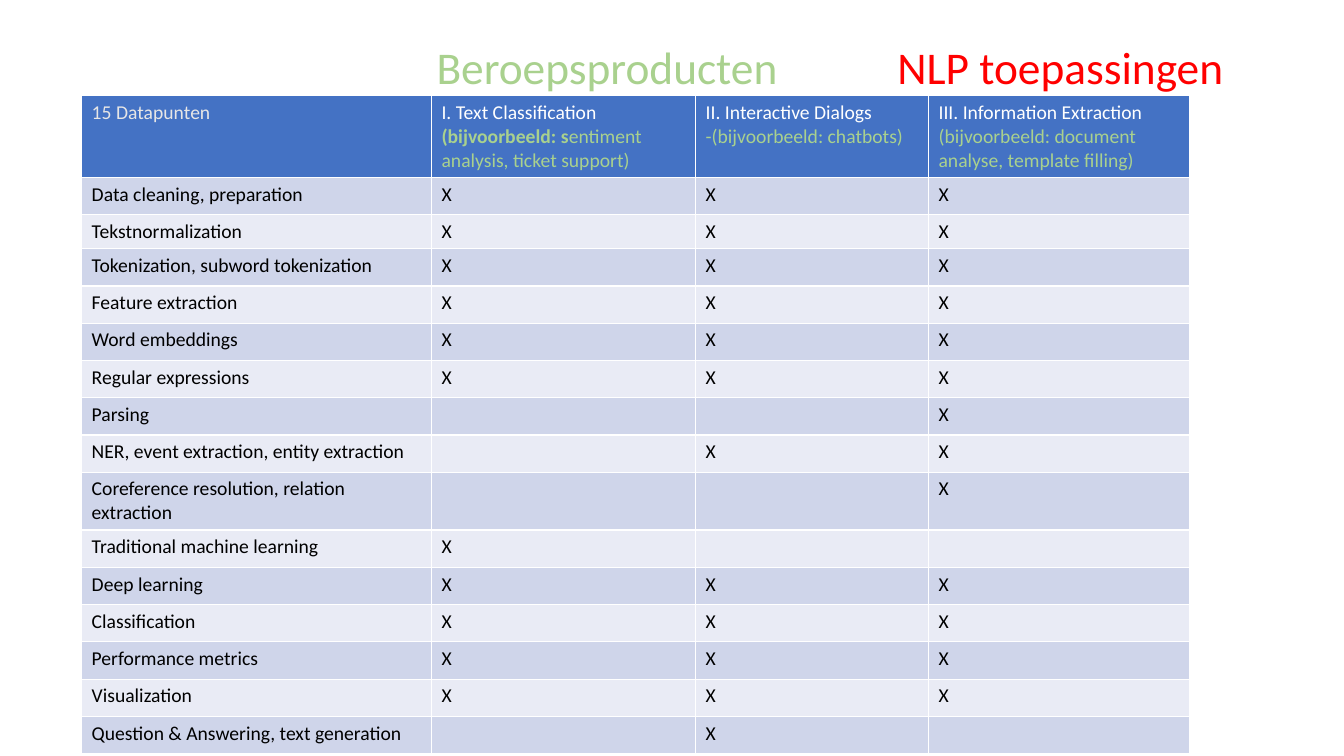
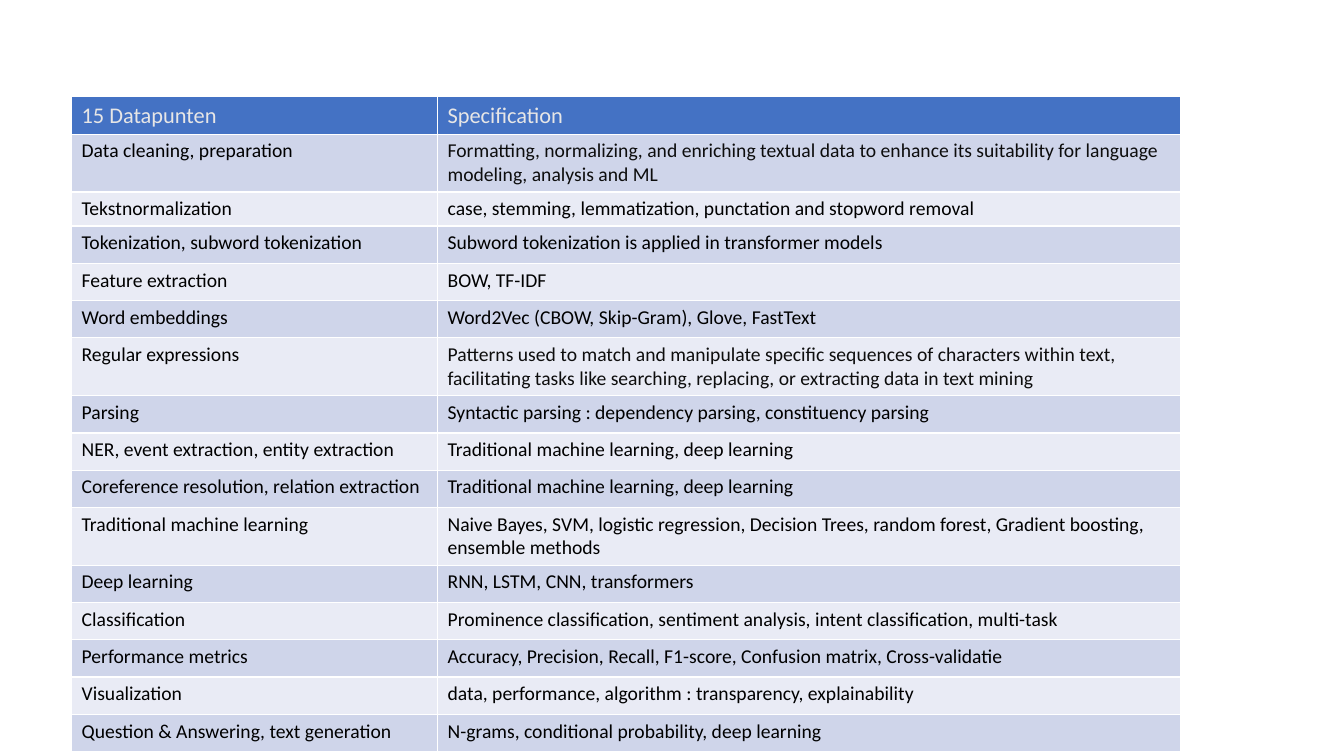
from dataclasses import dataclass

from lxml.etree import SubElement
from pptx import Presentation
from pptx.dml.color import RGBColor
from pptx.enum.text import MSO_ANCHOR, MSO_AUTO_SIZE, PP_ALIGN
from pptx.oxml.ns import qn
from pptx.util import Emu, Pt


@dataclass(frozen=True)
class Theme:
    font: str = "Calibri"
    white: str = "FFFFFF"
    black: str = "000000"
    soft_black: str = "0D0D0D"
    light_grey: str = "E7E6E6"
    green: str = "A9D18E"
    red: str = "FF0000"
    header_fill: str = "4472C4"
    band_fills: tuple = ("CFD5EA", "E9EBF5")
    title_size: float = 32.4
    detail_header_size: float = 16
    body_size: float = 14


THEME = Theme()
EMU_PER_PX = 9144  # 100 px to the inch
SLIDE_SIZE = (1333, 750)
TITLE_BOX = (423, 40, 895, 79)
TITLE_TAB = 457
HEADER_HEIGHT, ROW_HEIGHT, TIGHT_ROW_HEIGHT = 29, 37, 32
TIGHT_ROW = "Tekstnormalization"

# Content: data point, applications that use it, specification
DATA_POINTS = [
    ("Data cleaning, preparation", (1, 2, 3),
     "Formatting, normalizing, and enriching textual data to enhance its "
     "suitability for language modeling, analysis and ML"),
    ("Tekstnormalization", (1, 2, 3),
     "case, stemming, lemmatization, punctation and stopword removal"),
    ("Tokenization, subword tokenization", (1, 2, 3),
     "Subword tokenization is applied in transformer models"),
    ("Feature extraction", (1, 2, 3), "BOW, TF-IDF"),
    ("Word embeddings", (1, 2, 3), "Word2Vec (CBOW, Skip-Gram), Glove, FastText"),
    ("Regular expressions", (1, 2, 3),
     "Patterns used to match and manipulate specific sequences of characters "
     "within text, facilitating tasks like searching, replacing, or extracting "
     "data in text mining"),
    ("Parsing", (3,), "Syntactic parsing : dependency parsing, constituency parsing"),
    ("NER, event extraction, entity extraction", (2, 3),
     "Traditional machine learning, deep learning"),
    ("Coreference resolution, relation extraction", (3,),
     "Traditional machine learning, deep learning"),
    ("Traditional machine learning", (1,),
     "Naive Bayes, SVM, logistic regression, Decision Trees, random forest, "
     "Gradient boosting, ensemble methods"),
    ("Deep learning", (1, 2, 3), "RNN, LSTM, CNN, transformers"),
    ("Classification", (1, 2, 3),
     "Prominence classification, sentiment analysis, intent classification, multi-task"),
    ("Performance metrics", (1, 2, 3),
     "Accuracy, Precision, Recall, F1-score, Confusion matrix, Cross-validatie"),
    ("Visualization", (1, 2, 3),
     "data, performance, algorithm : transparency, explainability"),
    ("Question & Answering, text generation", (2,),
     "N-grams, conditional probability, deep learning"),
]
SOFT_BLACK_ROWS = ("Data cleaning, preparation", "Regular expressions")

# Each paragraph is a list of runs: text, colour, optional bold
PRODUCTS_TITLE = [
    ("Beroepsproducten", THEME.green),
    ("\tNLP toepassingen", THEME.red),
]
DATA_POINT_HEADER = [[("15 Datapunten", THEME.light_grey)]]
PRODUCTS_HEADER = [
    DATA_POINT_HEADER,
    [[("I. Text Classification", THEME.white)],
     [("(bijvoorbeeld: s", THEME.green, True),
      ("entiment analysis, ticket support)", THEME.green)]],
    [[("II. Interactive Dialogs", THEME.white)],
     [("-(bijvoorbeeld: chatbots)", THEME.green)]],
    [[("III. Information Extraction", THEME.white)],
     [("(bijvoorbeeld: document analyse, template filling)", THEME.green)]],
]
DETAIL_HEADER = [DATA_POINT_HEADER, [[("Specification", THEME.light_grey)]]]


def px(length):
    return Emu(length * EMU_PER_PX)


def add_runs(paragraph, runs, size):
    for text, color, *bold in runs:
        run = paragraph.add_run()
        run.text = text
        run.font.name = THEME.font
        run.font.size = Pt(size)
        run.font.bold = bool(bold and bold[0])
        run.font.color.rgb = RGBColor.from_string(color)


def fill_cell(cell, paragraphs, fill, size):
    cell.fill.solid()
    cell.fill.fore_color.rgb = RGBColor.from_string(fill)
    frame = cell.text_frame
    for index, runs in enumerate(paragraphs):
        paragraph = frame.add_paragraph() if index else frame.paragraphs[0]
        add_runs(paragraph, runs, size)
        if not runs:  # keeps an empty cell at the body line height
            SubElement(paragraph._p, qn("a:endParaRPr"), sz=str(int(size * 100)))


def add_title(slide, runs, size):
    title = slide.shapes.title
    title.left, title.top, title.width, title.height = map(px, TITLE_BOX)
    frame = title.text_frame
    frame.word_wrap = True
    frame.auto_size = MSO_AUTO_SIZE.NONE
    frame.vertical_anchor = MSO_ANCHOR.TOP
    paragraph = frame.paragraphs[0]
    paragraph.alignment = PP_ALIGN.LEFT
    paragraph.line_spacing = 0.9
    # A tab stop places the second part of the title
    tab_list = SubElement(paragraph._p.get_or_add_pPr(), qn("a:tabLst"))
    SubElement(tab_list, qn("a:tab"), pos=str(px(TITLE_TAB)), algn="l")
    add_runs(paragraph, runs, size)


def add_data_table(slide, left, top, widths, header, header_size, rows):
    heights = [HEADER_HEIGHT] + [
        TIGHT_ROW_HEIGHT if name == TIGHT_ROW else ROW_HEIGHT
        for name, *_ in DATA_POINTS
    ]
    table = slide.shapes.add_table(
        len(heights), len(widths), px(left), px(top), px(sum(widths)), px(sum(heights))
    ).table
    for column, width in zip(table.columns, widths):
        column.width = px(width)
    for row, height in zip(table.rows, heights):
        row.height = px(height)

    # Header row, then alternating bands
    for index, paragraphs in enumerate(header):
        fill_cell(table.cell(0, index), paragraphs, THEME.header_fill, header_size)
    for row_index, row_cells in enumerate(rows):
        band = THEME.band_fills[row_index % 2]
        for index, runs in enumerate(row_cells):
            fill_cell(table.cell(row_index + 1, index), [runs], band, THEME.body_size)


def product_rows():
    for name, used_by, _ in DATA_POINTS:
        marks = [[("X", THEME.black)] if number in used_by else [] for number in (1, 2, 3)]
        yield [[(name, THEME.black)], *marks]


def detail_rows():
    for name, _, specification in DATA_POINTS:
        color = THEME.soft_black if name in SOFT_BLACK_ROWS else THEME.black
        yield [[(name, THEME.black)], [(specification, color)]]


def main():
    presentation = Presentation()
    presentation.slide_width, presentation.slide_height = map(px, SLIDE_SIZE)
    title_only, blank = presentation.slide_layouts[5], presentation.slide_layouts[6]

    # Data points per application
    slide = presentation.slides.add_slide(title_only)
    add_title(slide, PRODUCTS_TITLE, THEME.title_size)
    add_data_table(slide, 81, 95, (347, 262, 231, 259),
                   PRODUCTS_HEADER, THEME.body_size, product_rows())

    # Data points in detail
    slide = presentation.slides.add_slide(blank)
    add_data_table(slide, 71, 96, (363, 737),
                   DETAIL_HEADER, THEME.detail_header_size, detail_rows())

    presentation.save("out.pptx")


if __name__ == "__main__":
    main()
